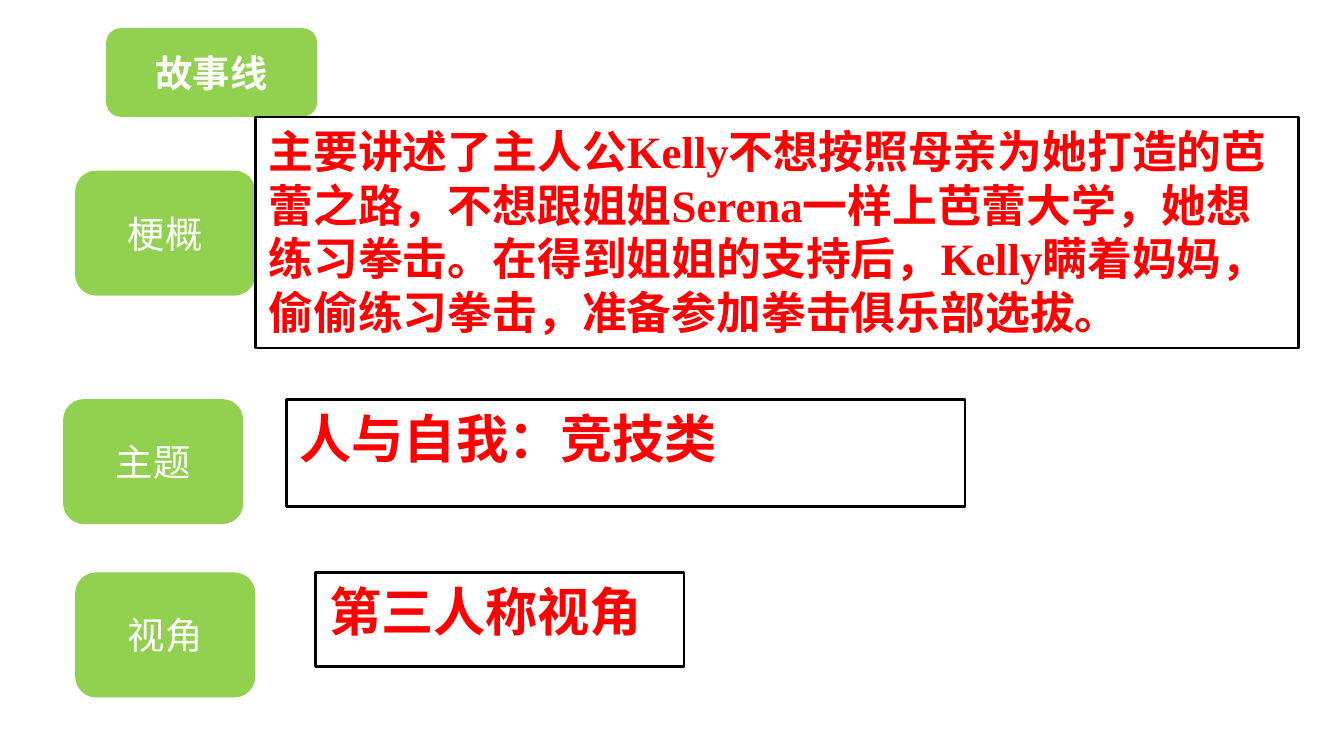
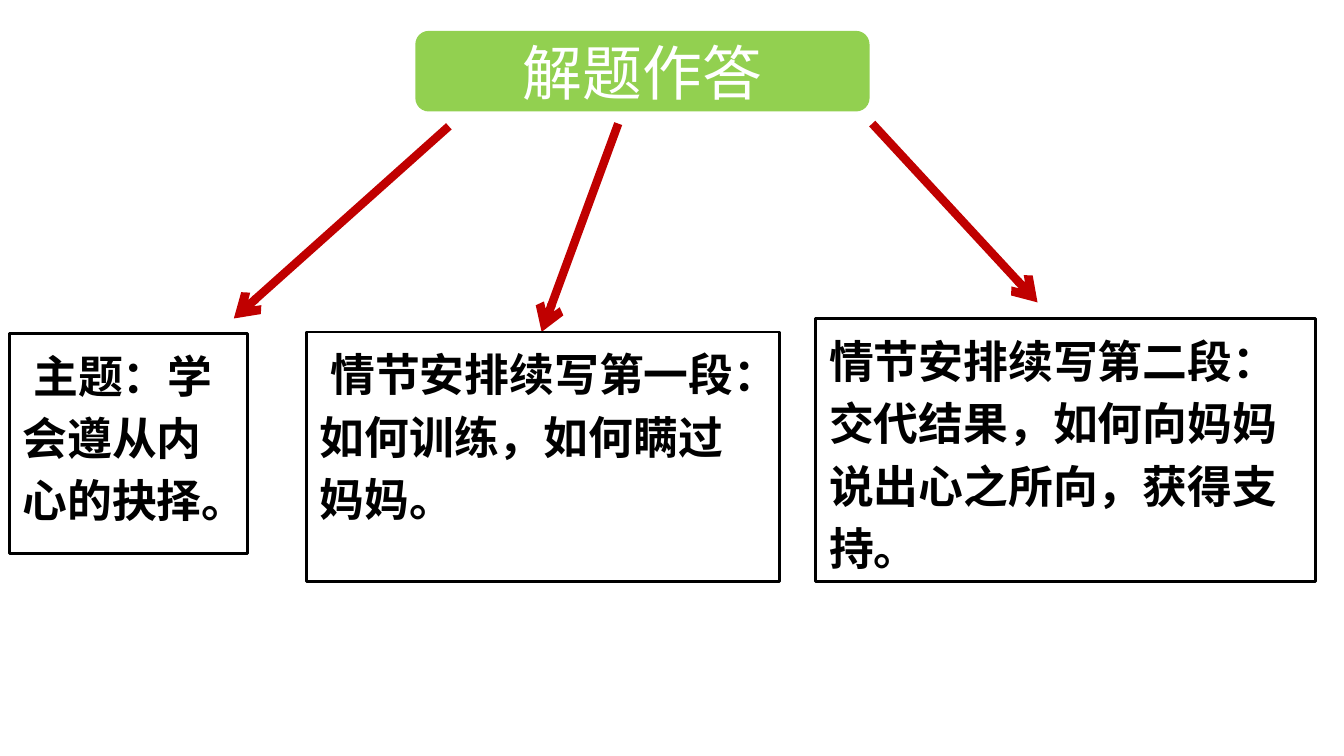
from dataclasses import dataclass

from lxml import etree
from pptx import Presentation
from pptx import util as u
from pptx.dml import color
from pptx.enum import shapes, text
from pptx.oxml import ns
from pptx.slide import Slide


@dataclass(frozen=True)
class Theme:
    green: str = "92D050"
    white: str = "FFFFFF"
    black: str = "000000"
    answer: str = "FF0000"
    arrow: str = "C00000"
    label_font: str = "Arial Narrow"
    body_font: str = "Times New Roman"
    label_size: int = 20
    body_size: int = 24
    answer_size: int = 28
    title_size: int = 32
    plan_spacing: float = 33.4
    border: float = 1.5
    arrow_width: float = 4.5


THEME = Theme()
LABEL_WIDTH, LABEL_HEIGHT = 1.34, 0.93
PLAN_INDENT = 0.08


@dataclass(frozen=True)
class Label:
    words: str
    left: float
    top: float
    width: float = LABEL_WIDTH
    height: float = LABEL_HEIGHT
    size: int = THEME.label_size
    bold: bool = False


@dataclass(frozen=True)
class Panel:
    lines: tuple[str, ...]
    left: float
    top: float
    width: float
    height: float
    size: int = THEME.body_size
    ink: str = THEME.answer
    spacing: float | None = None
    indent: float = 0


@dataclass(frozen=True)
class Arrow:
    start: tuple[float, float]
    end: tuple[float, float]


STORY_LABELS = (
    Label("故事线", 0.79, 0.21, 1.57, 0.66, bold=True),
    Label("主题", 0.47, 2.97),
    Label("视角", 0.56, 4.26),
    Label("梗概", 0.56, 1.27),
)
STORY_PANELS = (
    Panel(("人与自我：竞技类",), 2.13, 2.97, 5.05, 0.8, THEME.answer_size),
    Panel(("第三人称视角",), 2.35, 4.26, 2.74, 0.7, THEME.answer_size),
    Panel(
        (
            "主要讲述了主人公Kelly不想按照母亲为她打造的芭蕾之路，"
            "不想跟姐姐Serena一样上芭蕾大学，她想练习拳击。"
            "在得到姐姐的支持后，Kelly瞒着妈妈，偷偷练习拳击，准备参加拳击俱乐部选拔。",
        ),
        1.9, 0.87, 7.76, 1.72,
    ),
)

PLAN_TITLE = Label("解题作答", 3.09, 0.23, 3.38, 0.6, THEME.title_size)
PLAN_ARROWS = (
    Arrow((3.34, 0.94), (1.74, 2.37)),
    Arrow((4.6, 0.92), (4.03, 2.47)),
    Arrow((6.49, 0.92), (7.72, 2.25)),
)


def plan_panel(lines: tuple[str, ...], left: float, top: float, width: float,
               height: float, indent: float = 0) -> Panel:
    return Panel(lines, left, top, width, height, ink=THEME.black,
                 spacing=THEME.plan_spacing, indent=indent)


PLAN_PANELS = (
    plan_panel(("主题：学会遵从内心的抉择。",), 0.07, 2.48, 1.77, 1.64, PLAN_INDENT),
    plan_panel(("情节安排续写第一段：如何训练，如何瞒过妈妈。",),
               2.28, 2.47, 3.52, 1.86, PLAN_INDENT),
    plan_panel(("情节安排续写第二段：", "交代结果，如何向妈妈说出心之所向，获得支持。"),
               6.07, 2.37, 3.72, 1.96),
)


def rgb(value: str) -> color.RGBColor:
    return color.RGBColor.from_string(value)


def add_block(page: Slide, item: Label | Panel, kind: shapes.MSO_SHAPE, fill: str):
    box = page.shapes.add_shape(
        kind, u.Inches(item.left), u.Inches(item.top),
        u.Inches(item.width), u.Inches(item.height))
    box.shadow.inherit = False
    box.fill.solid()
    box.fill.fore_color.rgb = rgb(fill)
    return box


def write_text(box, lines: tuple[str, ...], *, font: str, size: int, ink: str,
               bold: bool = False, align: text.PP_ALIGN = text.PP_ALIGN.LEFT,
               spacing: float | None = None, indent: float = 0) -> None:
    frame = box.text_frame
    for index, line in enumerate(lines):
        para = frame.add_paragraph() if index else frame.paragraphs[0]
        para.alignment = align
        if spacing:
            para.line_spacing = u.Pt(spacing)
        if indent:
            para._p.get_or_add_pPr().set("indent", str(u.Inches(indent)))
        span = para.add_run()
        span.text = line
        span.font.name = font
        span.font.size = u.Pt(size)
        span.font.bold = bold
        span.font.color.rgb = rgb(ink)


def draw_label(page: Slide, label: Label) -> None:
    box = add_block(page, label, shapes.MSO_SHAPE.ROUNDED_RECTANGLE, THEME.green)
    box.line.fill.background()
    frame = box.text_frame
    frame.word_wrap = False
    frame.vertical_anchor = text.MSO_ANCHOR.MIDDLE
    frame.margin_left = frame.margin_right = 0
    frame.margin_top = frame.margin_bottom = 0
    write_text(box, (label.words,), font=THEME.label_font, size=label.size,
               ink=THEME.white, bold=label.bold, align=text.PP_ALIGN.CENTER)


def draw_panel(page: Slide, panel: Panel) -> None:
    box = add_block(page, panel, shapes.MSO_SHAPE.RECTANGLE, THEME.white)
    box.line.color.rgb = rgb(THEME.black)
    box.line.width = u.Pt(THEME.border)
    box.text_frame.word_wrap = True
    box.text_frame.vertical_anchor = text.MSO_ANCHOR.TOP
    write_text(box, panel.lines, font=THEME.body_font, size=panel.size,
               ink=panel.ink, bold=True, spacing=panel.spacing, indent=panel.indent)


def draw_arrow(page: Slide, arrow: Arrow) -> None:
    points = (u.Inches(value) for value in arrow.start + arrow.end)
    link = page.shapes.add_connector(shapes.MSO_CONNECTOR.STRAIGHT, *points)
    link.line.color.rgb = rgb(THEME.arrow)
    link.line.width = u.Pt(THEME.arrow_width)
    etree.SubElement(link.line._get_or_add_ln(), ns.qn("a:tailEnd"), type="arrow")
    etree.SubElement(link._element.spPr, ns.qn("a:effectLst"))


def build_story(page: Slide) -> None:
    for label in STORY_LABELS:
        draw_label(page, label)
    for panel in STORY_PANELS:
        draw_panel(page, panel)


def build_plan(page: Slide) -> None:
    draw_label(page, PLAN_TITLE)
    for arrow in PLAN_ARROWS:
        draw_arrow(page, arrow)
    for panel in PLAN_PANELS:
        draw_panel(page, panel)


def main() -> None:
    deck = Presentation()
    deck.slide_width = u.Inches(10)
    deck.slide_height = deck.slide_width * 9 // 16
    for build in (build_story, build_plan):
        build(deck.slides.add_slide(deck.slide_layouts[6]))
    deck.save("out.pptx")


if __name__ == "__main__":
    main()
